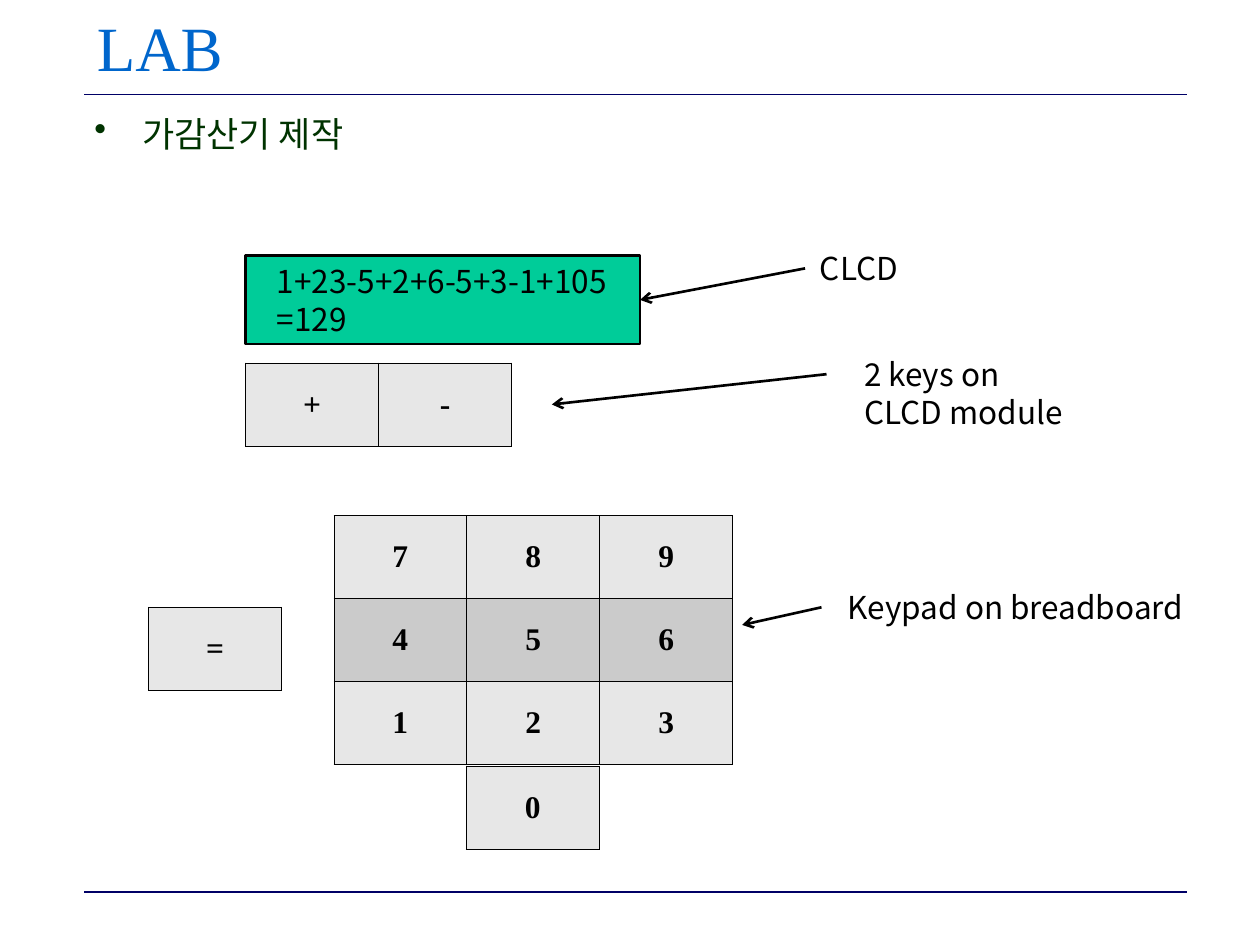
"""Build the LAB slide: an adder-subtractor with display, keys and keypad."""
from typing import NamedTuple

from lxml.etree import SubElement
from pptx import Presentation
from pptx.dml.color import RGBColor
from pptx.enum.shapes import MSO_CONNECTOR as CONN, MSO_SHAPE as SHAPE
from pptx.enum.text import MSO_ANCHOR as ANCHOR, MSO_AUTO_SIZE as FIT, PP_ALIGN as ALIGN
from pptx.oxml.ns import qn
from pptx.util import Inches, Pt

SERIF, SANS = "Times New Roman", "Noto Sans CJK KR"
BLACK, NAVY, BLUE, GREEN = "000000", "000066", "0066CC", "003300"
MINT, LIGHT, DARK = "00CC99", "E7E7E7", "CBCBCB"
KEY_W, KEY_H = 1.055, 0.66


class Label(NamedTuple):
    x: float
    y: float
    w: float
    h: float
    lines: tuple[str, ...]


class Keys(NamedTuple):
    x: float
    y: float
    rows: tuple[str, ...]


class Line(NamedTuple):
    x1: float
    y1: float
    x2: float
    y2: float
    color: str = BLACK
    width: float = 1.5
    arrow: bool = True


LABELS = (
    Label(6.41, 1.93, 0.83, 0.4, ("CLCD",)),
    Label(6.63, 4.62, 2.9, 0.4, ("Keypad on breadboard",)),
    Label(2.1, 2.03, 2.87, 0.7, ("1+23-5+2+6-5+3-1+105", "=129")),
    Label(6.76, 2.77, 1.79, 0.7, ("2 keys on", "CLCD module")),
)
KEYS = (
    Keys(2.65, 4.09, ("789", "456", "123")),
    Keys(1.95, 2.88, ("+-",)),
    Keys(3.7, 6.08, ("0",)),
    Keys(1.18, 4.82, ("=",)),
)
RULES = tuple(Line(0.67, y, 9.42, y, NAVY, 1, False) for y in (7.08, 0.75))
ARROWS = (Line(6.52, 4.82, 5.89, 4.96), Line(6.56, 2.97, 4.38, 3.21))
DISPLAY_ARROW = Line(6.39, 2.13, 5.08, 2.38)


def rgb(color: str) -> RGBColor:
    return RGBColor.from_string(color)


def add_run(p, text: str, size: float, font: str, color: str, bold: bool = False) -> None:
    r = p.add_run()
    r.text = text
    r.font.size, r.font.name, r.font.bold = Pt(size), font, bold
    r.font.color.rgb = rgb(color)
    SubElement(r._r.get_or_add_rPr(), qn("a:ea"), typeface=SANS)


def add_box(s, x: float, y: float, w: float, h: float, wrap: bool = True):
    tf = s.shapes.add_textbox(Inches(x), Inches(y), Inches(w), Inches(h)).text_frame
    tf.word_wrap = wrap
    return tf


def add_label(s, label: Label) -> None:
    tf = add_box(s, label.x, label.y, label.w, label.h, wrap=False)
    tf.auto_size = FIT.SHAPE_TO_FIT_TEXT
    for i, text in enumerate(label.lines):
        p = tf.add_paragraph() if i else tf.paragraphs[0]
        p.line_spacing = Pt(21.6)
        add_run(p, text, 18, SANS, BLACK)


def add_line(s, line: Line):
    sp = s.shapes.add_connector(
        CONN.STRAIGHT, Inches(line.x1), Inches(line.y1), Inches(line.x2), Inches(line.y2))
    sp.line.color.rgb = rgb(line.color)
    sp.line.width = Pt(line.width)
    if line.arrow:
        SubElement(sp.line._get_or_add_ln(), qn("a:tailEnd"), type="arrow")
    SubElement(sp._element.spPr, qn("a:effectLst"))
    return sp


def add_borders(cell) -> None:
    tc_pr = cell._tc.get_or_add_tcPr()
    for i, side in enumerate(("lnL", "lnR", "lnT", "lnB")):
        ln = SubElement(tc_pr, qn(f"a:{side}"), w=str(Pt(0.45)))
        SubElement(SubElement(ln, qn("a:solidFill")), qn("a:srgbClr"), val=BLACK)
        tc_pr.insert(i, ln)


def add_keys(s, keys: Keys) -> None:
    rows, cols = len(keys.rows), len(keys.rows[0])
    table = s.shapes.add_table(
        rows, cols, Inches(keys.x), Inches(keys.y),
        Inches(cols * KEY_W), Inches(rows * KEY_H)).table
    table.first_row = table.horz_banding = False
    for i, row in enumerate(keys.rows):
        for j, key in enumerate(row):
            cell = table.cell(i, j)
            cell.vertical_anchor = ANCHOR.MIDDLE
            cell.fill.solid()
            cell.fill.fore_color.rgb = rgb(DARK if i % 2 else LIGHT)
            add_borders(cell)
            p = cell.text_frame.paragraphs[0]
            p.alignment = ALIGN.CENTER
            add_run(p, key, 18, SERIF, BLACK, bold=True)


def add_heading(s) -> None:
    tf = add_box(s, 0.67, 0.08, 8.75, 0.58)
    tf.vertical_anchor = ANCHOR.MIDDLE
    add_run(tf.paragraphs[0], "LAB", 36, SERIF, BLUE)


def add_bullet(s) -> None:
    p = add_box(s, 0.65, 0.84, 8.75, 0.59).paragraphs[0]
    p_pr = p._p.get_or_add_pPr()
    p_pr.set("marL", str(Inches(0.38)))
    p_pr.set("indent", str(Inches(-0.38)))
    SubElement(SubElement(p_pr, qn("a:buClr")), qn("a:srgbClr"), val=GREEN)
    SubElement(p_pr, qn("a:buChar"), char="•")
    add_run(p, "가감산기 제작", 20, SERIF, GREEN)


def add_display(s):
    sp = s.shapes.add_shape(
        SHAPE.RECTANGLE, Inches(1.95), Inches(2.03), Inches(3.13), Inches(0.7))
    sp.shadow.inherit = False
    sp.fill.solid()
    sp.fill.fore_color.rgb = rgb(MINT)
    sp.line.color.rgb = rgb(BLACK)
    sp.line.width = Pt(1.5)
    return sp


def main() -> None:
    prs = Presentation()
    prs.slide_width, prs.slide_height = Inches(10), Inches(7.5)
    s = prs.slides.add_slide(prs.slide_layouts[6])
    for rule in RULES:
        add_line(s, rule)
    add_heading(s)
    add_bullet(s)
    display = add_display(s)
    add_line(s, DISPLAY_ARROW).end_connect(display, 3)
    for keys in KEYS:
        add_keys(s, keys)
    for arrow in ARROWS:
        add_line(s, arrow)
    for label in LABELS:
        add_label(s, label)
    prs.save("out.pptx")


if __name__ == "__main__":
    main()
